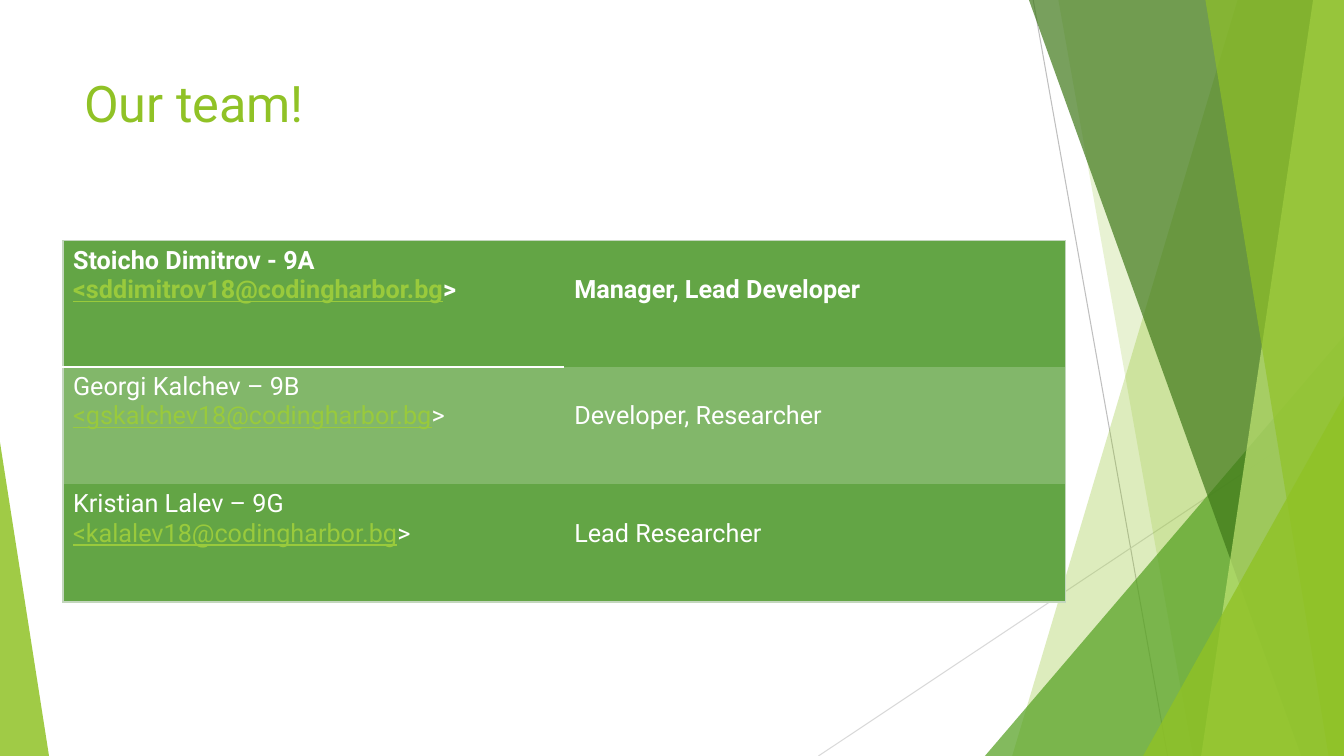
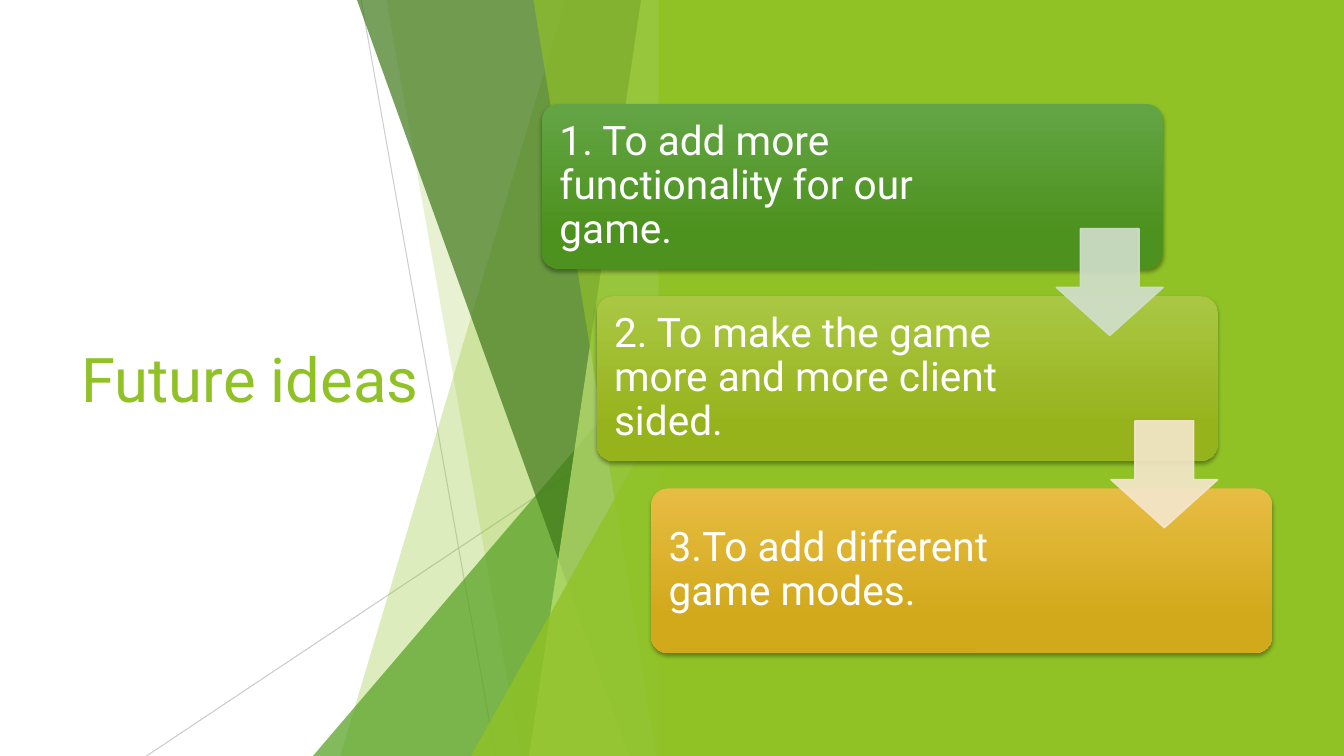
"""Build two green-banded slides: a team table and a list of ideas."""
from dataclasses import dataclass

from lxml.etree import SubElement
from pptx import Presentation
from pptx.dml.color import RGBColor
from pptx.enum.shapes import MSO_CONNECTOR, MSO_SHAPE
from pptx.enum.text import MSO_ANCHOR, PP_ALIGN
from pptx.oxml.ns import qn
from pptx.util import Pt


@dataclass(frozen=True)
class Theme:
    """Colours and type sizes of the deck."""
    font: str = "Roboto"
    white: str = "FFFFFF"
    lime: str = "90C226"
    leaf: str = "54A021"
    moss: str = "3F7819"
    pale: str = "C0E474"
    gray: str = "BFBFBF"
    mist: str = "D9D9D9"
    link: str = "99CA3C"
    edge: str = "C3D6BD"
    row: str = "63A545"
    alt: str = "82B76A"
    head: int = 36
    big: int = 44
    body: int = 18
    step: int = 29


WIDE, HIGH = 960, 540
THEME = Theme()
PLAIN = "{2D5ABB26-0587-4C30-8999-92F81FD0307C}"
LINES = [((738, 0), (834, HIGH)), ((WIDE, 290), (584.6, HIGH))]
BANDS = [
    (884, 723, THEME.lime, 30),
    (756, 852, THEME.lime, 20),
    (703.5, 240, THEME.leaf, 72, "peak"),
    (735, 929.5, THEME.moss, 70),
    (938, 858, THEME.pale, 70),
    (861, 949, THEME.lime, 65),
    (816.5, 283, THEME.lime, 80, "peak"),
]
TEAM = [
    ("Stoicho Dimitrov - 9A", "sddimitrov18", "Manager, Lead Developer"),
    ("Georgi Kalchev – 9B", "gskalchev18", "Developer, Researcher"),
    ("Kristian Lalev – 9G", "kalalev18", "Lead Researcher"),
]
IDEAS = [
    ("1. To add more functionality for our game.", "63A545", "4D921E"),
    ("2. To make the game more and more client sided.", "AAC744", "97B31C"),
    ("3.To add different game modes.", "E7BC43", "D2A91B"),
]


def tint(code):
    """Turn a hex code into a colour."""
    return RGBColor.from_string(code)


def fade(shape, share):
    """Make fill and line of a shape partly clear."""
    for node in shape.element.spPr.iter(qn("a:srgbClr")):
        SubElement(node, qn("a:alpha"), val=str(share * 1000))


class Deck:
    """Holds the theme and the current slide."""

    def __init__(self, theme):
        """Start an empty wide deck."""
        self.theme = theme
        self.show = Presentation()
        self.show.slide_width, self.show.slide_height = Pt(WIDE), Pt(HIGH)
        self.slide = None

    def page(self):
        """Add a blank slide and make it current."""
        self.slide = self.show.slides.add_slide(self.show.slide_layouts[6])

    def style(self, run, size, color=None, bold=False):
        """Set font, size, colour and weight of a run."""
        run.font.name, run.font.size, run.font.bold = self.theme.font, Pt(size), bold
        run.font.color.rgb = tint(color or self.theme.white)

    def title(self, text, box, size, anchor):
        """Write the slide title."""
        frame = self.slide.shapes.add_textbox(*map(Pt, box)).text_frame
        frame.word_wrap, frame.vertical_anchor = True, anchor
        frame.text = text
        self.style(frame.paragraphs[0].runs[0], size, self.theme.lime)

    def paint(self, shape, color, share=100):
        """Give a shape a flat fill, no line and no shadow."""
        shape.shadow.inherit = False
        shape.fill.solid()
        shape.fill.fore_color.rgb = tint(color)
        shape.line.fill.background()
        if share < 100:
            fade(shape, share)

    def form(self, kind, box, *adjust):
        """Add a preset shape."""
        shape = self.slide.shapes.add_shape(kind, *map(Pt, box))
        for spot, value in enumerate(adjust):
            shape.adjustments[spot] = value
        return shape

    def peak(self, box, side, color, share):
        """Add a right-angled triangle."""
        self.paint(self.form(MSO_SHAPE.ISOSCELES_TRIANGLE, box, side), color, share)

    def band(self, top, foot, edge, color, share):
        """Add a slanted band that ends at a straight right edge."""
        pen = self.slide.shapes.build_freeform(Pt(top), 0)
        pen.add_line_segments([(Pt(x), Pt(y)) for x, y in
                               [(edge, 0), (edge, HIGH), (foot, HIGH)]])
        self.paint(pen.convert_to_shape(), color, share)

    def line(self, start, end, color, share):
        """Add a thin line."""
        wire = self.slide.shapes.add_connector(
            MSO_CONNECTOR.STRAIGHT, *map(Pt, (*start, *end)))
        wire.line.width, wire.line.color.rgb = Pt(0.75), tint(color)
        SubElement(wire.element.spPr, qn("a:effectLst"))
        if share < 100:
            fade(wire, share)

    def decor(self, shift, tones):
        """Draw the lines and bands, moved left by the shift."""
        edge = WIDE - shift
        for (start, end), tone in zip(LINES, tones):
            self.line((start[0] - shift, start[1]), (end[0] - shift, end[1]), *tone)
        for left, other, color, share, *peak in BANDS:
            if peak:
                box = (left - shift, other, WIDE - left, HIGH - other)
                self.peak(box, 1, color, share)
            else:
                self.band(left - shift, other - shift, edge, color, share)

    def border(self, cell, sides):
        """Draw the given sides of a cell."""
        props = cell._tc.get_or_add_tcPr()
        for side, (color, width) in sides.items():
            rule = SubElement(props, qn("a:ln" + side), w=str(Pt(width)))
            fill = SubElement(rule, qn("a:solidFill"))
            SubElement(fill, qn("a:srgbClr"), val=color)

    def table(self, box, rows, heights):
        """Add the table of names, addresses and roles."""
        theme = self.theme
        frame = self.slide.shapes.add_table(len(rows), 2, *map(Pt, box))
        next(frame.element.iter(qn("a:tableStyleId"))).text = PLAIN
        grid = frame.table
        grid.first_row = grid.horz_banding = False
        rim, last = (theme.edge, 1), len(rows) - 1
        for spot, (name, mail, role) in enumerate(rows):
            grid.rows[spot].height = Pt(heights[spot])
            first, second = grid.rows[spot].cells
            ends = {"T": rim} if spot == 0 else {}
            if spot == last:
                ends["B"] = rim
            under = {"B": (theme.white, 2)} if spot == 0 else {}
            self.border(first, {"L": rim, **ends, **under})
            self.border(second, {"R": rim, **ends})
            first.text_frame.text = name
            post = first.text_frame.add_paragraph()
            post.text = f"<{mail}@codingharbor.bg"
            post.add_run().text = ">"
            second.text_frame.text = role
            second.margin_top = Pt(24.7)
            for cell in (first, second):
                cell.fill.solid()
                cell.fill.fore_color.rgb = tint(theme.alt if spot % 2 else theme.row)
                for para in cell.text_frame.paragraphs:
                    for run in para.runs:
                        self.style(run, theme.body, bold=spot == 0)
            link = post.runs[0].font
            link.underline, link.color.rgb = True, tint(theme.link)

    def card(self, text, box, light, dark):
        """Add a rounded card with a gradient, a soft shadow and text."""
        card = self.form(MSO_SHAPE.ROUNDED_RECTANGLE, box, 0.1)
        card.line.fill.background()
        card.fill.gradient()
        card.fill.gradient_angle = 270
        for stop, color, place in zip(card.fill.gradient_stops, (light, dark), (0, 0.78)):
            stop.color.rgb, stop.position = tint(color), place
        card.shadow.inherit = False
        glow = SubElement(card.element.spPr.find(qn("a:effectLst")), qn("a:outerShdw"),
                          blurRad=str(Pt(3)), dist=str(Pt(2)), dir="5400000",
                          rotWithShape="0")
        shade = SubElement(glow, qn("a:srgbClr"), val="000000")
        SubElement(shade, qn("a:alpha"), val="35000")
        frame = card.text_frame
        frame.word_wrap, frame.vertical_anchor = True, MSO_ANCHOR.MIDDLE
        frame.margin_left, frame.margin_right = Pt(9), Pt(124)
        frame.text = text
        para = frame.paragraphs[0]
        para.alignment, para.line_spacing = PP_ALIGN.LEFT, 0.9
        self.style(para.runs[0], self.theme.step)

    def arrow(self, box, color):
        """Add a pale arrow that points down."""
        arrow = self.form(MSO_SHAPE.DOWN_ARROW, box, 0.55, 0.45)
        self.paint(arrow, color)
        arrow.line.width, arrow.line.color.rgb = Pt(1), tint(color)
        fade(arrow, 90)


def team(deck):
    """Build the team slide."""
    theme = deck.theme
    deck.page()
    deck.decor(0, [(theme.gray, 100), (theme.mist, 100)])
    deck.peak((0, 316, 35, 224), 0, theme.lime, 85)
    deck.title("Our team!", (53, 48, 677, 104), theme.head, MSO_ANCHOR.TOP)
    deck.table((45, 172, 716, 258), TEAM, (90, 84, 84))


def ideas(deck):
    """Build the slide of future ideas."""
    theme = deck.theme
    deck.page()
    deck.title("Future ideas", (51, 109, 279, 322), theme.big, MSO_ANCHOR.MIDDLE)
    deck.decor(480, [(theme.gray, 75), (theme.gray, 80)])
    panel = deck.form(MSO_SHAPE.RECTANGLE, (470.5, 0, WIDE - 470.5, HIGH))
    deck.paint(panel, theme.lime)
    across, down = 39, 137.3
    for spot, (text, light, dark) in enumerate(IDEAS):
        box = (387.2 + spot * across, 74.3 + spot * down, 443.5, 117.5)
        deck.card(text, box, light, dark)
    for spot, color in enumerate(("D1DFCD", "F5E7CD")):
        deck.arrow((754.5 + spot * across, 163.3 + spot * down, 76.4, 76.4), color)


deck = Deck(THEME)
team(deck)
ideas(deck)
deck.show.save("out.pptx")
